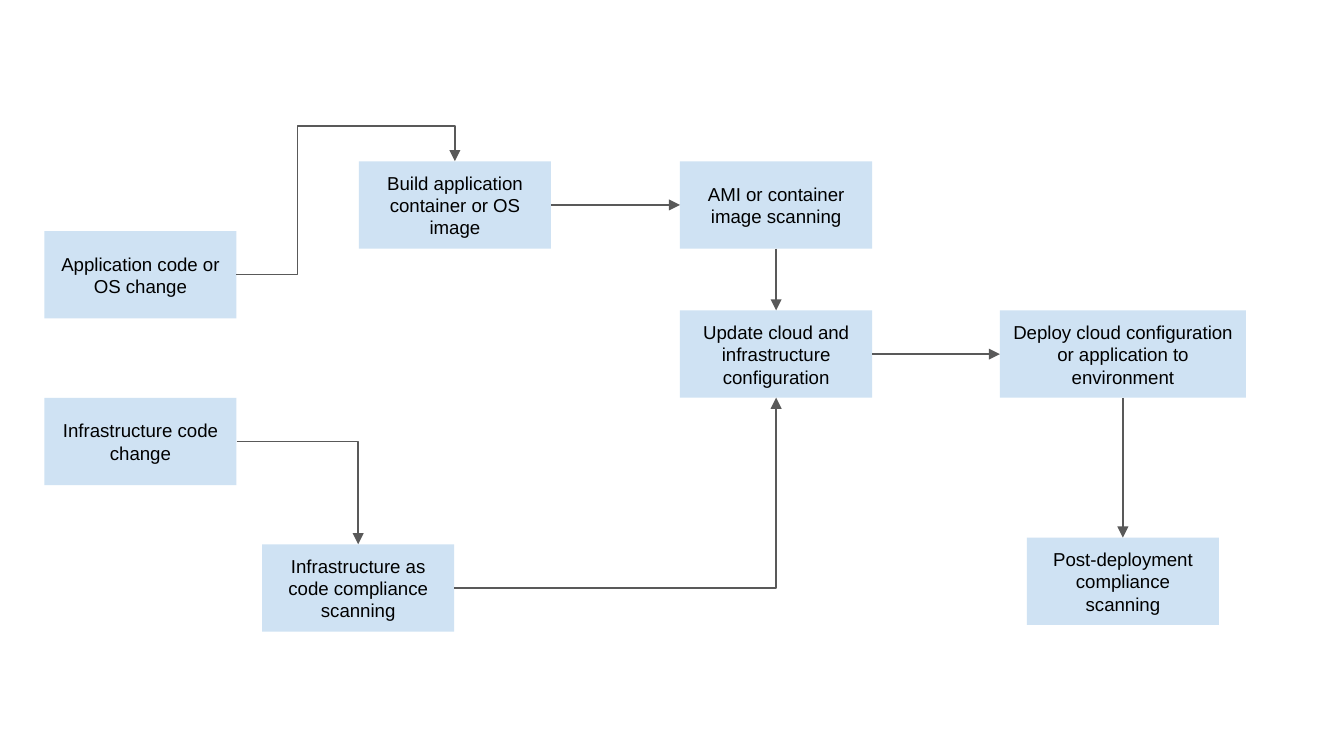
from lxml.etree import SubElement
from pptx import Presentation
from pptx.dml.color import RGBColor
from pptx.enum.shapes import MSO_CONNECTOR, MSO_SHAPE
from pptx.enum.text import MSO_ANCHOR, PP_ALIGN
from pptx.oxml.ns import qn
from pptx.util import Inches, Pt

TOP, LEFT, BOTTOM, RIGHT = range(4)
STEP_WIDTH, STEP_HEIGHT = 1.43, 0.65

# name: (left, top, width, text)
STEPS = {
    "build": (2.67, 1.2, STEP_WIDTH, "Build application container or OS image"),
    "deploy": (7.44, 2.31, 1.83, "Deploy cloud configuration or application to environment"),
    "update": (5.06, 2.31, STEP_WIDTH, "Update cloud and infrastructure configuration"),
    "app change": (0.33, 1.72, STEP_WIDTH, "Application code or OS change"),
    "infra change": (0.33, 2.96, STEP_WIDTH, "Infrastructure code change"),
    "infra scan": (1.95, 4.05, STEP_WIDTH, "Infrastructure as code compliance scanning"),
    "post scan": (7.64, 4, STEP_WIDTH, "Post-deployment compliance scanning"),
    "image scan": (5.06, 1.2, STEP_WIDTH, "AMI or container image scanning"),
}

STRAIGHT_ARROWS = [
    ("build", RIGHT, "image scan", LEFT),
    ("image scan", BOTTOM, "update", TOP),
    ("update", RIGHT, "deploy", LEFT),
    ("deploy", BOTTOM, "post scan", TOP),
]

# start, side, end, side, preset, adjustments
BENT_ARROWS = [
    ("app change", RIGHT, "build", TOP, "bentConnector4", (0.28, 1.31)),
    ("infra change", RIGHT, "infra scan", TOP, "bentConnector2", ()),
    ("infra scan", RIGHT, "update", BOTTOM, "bentConnector2", ()),
]


def color(hex_string):
    return RGBColor.from_string(hex_string)


def add_step(page, left, top, width, text):
    box = page.shapes.add_shape(MSO_SHAPE.RECTANGLE, Inches(left), Inches(top),
                                Inches(width), Inches(STEP_HEIGHT))
    box.shadow.inherit = False
    box.fill.solid()
    box.fill.fore_color.rgb = color("CFE2F3")
    box.line.fill.background()
    frame = box.text_frame
    frame.word_wrap = True
    frame.vertical_anchor = MSO_ANCHOR.MIDDLE
    frame.margin_left = frame.margin_right = Inches(0.1)
    frame.margin_top = frame.margin_bottom = Inches(0.1)
    frame.text = text
    paragraph = frame.paragraphs[0]
    paragraph.alignment = PP_ALIGN.CENTER
    font = paragraph.runs[0].font
    font.name = "Arial"
    font.size = Pt(10)
    font.color.rgb = color("000000")
    return box


def add_arrow(page, kind, start, start_side, end, end_side):
    arrow = page.shapes.add_connector(kind, 0, 0, 0, 0)
    arrow.begin_connect(start, start_side)
    arrow.end_connect(end, end_side)
    arrow.line.width = Pt(0.75)
    arrow.line.color.rgb = color("595959")
    properties = arrow._element.spPr
    SubElement(properties.find(qn("a:ln")), qn("a:tailEnd"), type="triangle")
    SubElement(properties, qn("a:effectLst"))
    return arrow


def set_bend(arrow, preset, adjustments):
    """Choose the elbow preset and place its turns as shares of the size."""
    geometry = arrow._element.spPr.find(qn("a:prstGeom"))
    geometry.set("prst", preset)
    guides = geometry.find(qn("a:avLst"))
    for number, share in enumerate(adjustments, start=1):
        SubElement(guides, qn("a:gd"), name=f"adj{number}",
                   fmla=f"val {round(share * 100000)}")


def main():
    deck = Presentation()
    deck.slide_width = Inches(10)
    deck.slide_height = deck.slide_width * 9 // 16
    page = deck.slides.add_slide(deck.slide_layouts[6])
    boxes = {name: add_step(page, *step) for name, step in STEPS.items()}
    for start, start_side, end, end_side in STRAIGHT_ARROWS:
        add_arrow(page, MSO_CONNECTOR.STRAIGHT, boxes[start], start_side,
                  boxes[end], end_side)
    for start, start_side, end, end_side, preset, adjustments in BENT_ARROWS:
        arrow = add_arrow(page, MSO_CONNECTOR.ELBOW, boxes[start], start_side,
                          boxes[end], end_side)
        set_bend(arrow, preset, adjustments)
    deck.save("out.pptx")


if __name__ == "__main__":
    main()
